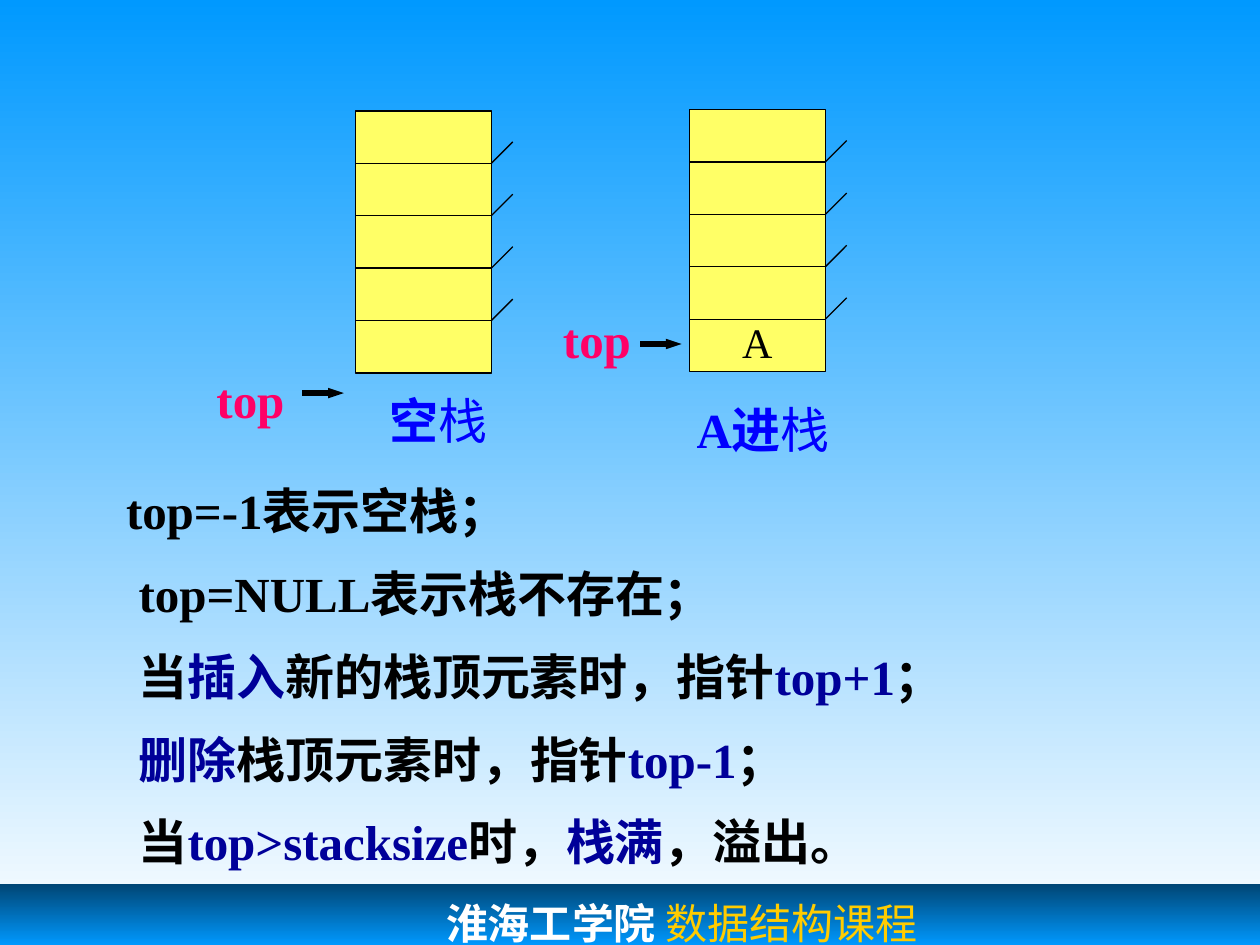
import pptx
import pptx.dml.color
import pptx.enum.shapes
import pptx.enum.text
import pptx.oxml
import pptx.oxml.ns
import pptx.util
from lxml import etree

Inches, Pt = pptx.util.Inches, pptx.util.Pt
qn = pptx.oxml.ns.qn
Anchor = pptx.enum.text.MSO_ANCHOR
AutoSize = pptx.enum.text.MSO_AUTO_SIZE

THEME = {
    "font": "Times New Roman", "footer_font": "Courier New",
    "large": 28, "small": 24,
    "ink": "000000", "key": "000099", "caption": "0000FF", "pointer": "FF0066",
    "cell": "FFFF66", "white": "FFFFFF", "course": "FFCC00",
    "sky": ["0099FF", "FFFFFF"], "bar": ["004675", "0099FF", "004675"],
    "thin": 0.75, "thick": 3,
}

# Each span is (text, theme colour).
NOTES = [
    [("top=-1表示空栈；", "ink")],
    [("top=NULL表示栈不存在；", "ink")],
    [("当", "ink"), ("插入", "key"), ("新的栈顶元素时，指针", "ink"),
     ("top+1", "key"), ("；", "ink")],
    [("删除", "key"), ("栈顶元素时，指针", "ink"), ("top-1", "key"), ("；", "ink")],
    [("当", "ink"), ("top>stacksize", "key"), ("时，", "ink"),
     ("栈满", "key"), ("，溢出。", "ink")],
]
STACKS = [
    {"corner": (2.82, 0.88), "bottom_cell": "", "caption": "空",
     "caption_at": (2.99, 3.05, 1, 0.57),
     "pointer_at": (1.62, 2.88, 0.74, 0.57), "arrow": (2.4, 3.12)},
    {"corner": (5.47, 0.87), "bottom_cell": "A", "caption": "A进",
     "caption_at": (5.43, 3.12, 1.35, 0.57),
     "pointer_at": (4.37, 2.41, 0.74, 0.57), "arrow": (5.08, 2.73)},
]
STACK_WIDTH, STACK_HEIGHT, CELLS = 1.08, 2.08, 5
TICK, ARROW_LENGTH = 0.17, 0.33


def rgb(name):
    return pptx.dml.color.RGBColor.from_string(THEME[name])


def apply(target, **values):
    for name, value in values.items():
        setattr(target, name, value)


def add_span(para, text, colour, size="large", bold=True, font="font"):
    span = para.add_run()
    span.text = text
    apply(span.font, size=Pt(THEME[size]), bold=bold, name=THEME[font])
    span.font.color.rgb = rgb(colour)


def vertical_gradient(fill, owner, colours):
    fill.gradient()
    fill.gradient_angle = 270
    stops = next(owner.iter(qn("a:gsLst")))
    for stop in list(stops):
        stops.remove(stop)
    for i, colour in enumerate(colours):
        position = str(100000 * i // (len(colours) - 1))
        stop = etree.SubElement(stops, qn("a:gs"), pos=position)
        etree.SubElement(stop, qn("a:srgbClr"), val=colour)


def add_rectangle(page, *at):
    kind = pptx.enum.shapes.MSO_SHAPE.RECTANGLE
    shape = page.shapes.add_shape(kind, *map(Inches, at))
    shape.shadow.inherit = False
    return shape


def add_line(page, *ends, width="thin", arrow=False):
    kind = pptx.enum.shapes.MSO_CONNECTOR.STRAIGHT
    line = page.shapes.add_connector(kind, *map(Inches, ends))
    line.line.color.rgb = rgb("ink")
    line.line.width = Pt(THEME[width])
    properties = line.element.spPr
    if arrow:
        etree.SubElement(properties.find(qn("a:ln")), qn("a:tailEnd"),
                         type="triangle", w="sm", len="med")
    etree.SubElement(properties, qn("a:effectLst"))


def add_label(page, at):
    box = page.shapes.add_textbox(*map(Inches, at))
    apply(box.text_frame, word_wrap=False, auto_size=AutoSize.SHAPE_TO_FIT_TEXT)
    return box.text_frame.paragraphs[0]


def add_stack(page, stack):
    left, top = stack["corner"]
    right = left + STACK_WIDTH
    body = add_rectangle(page, left, top, STACK_WIDTH, STACK_HEIGHT)
    body.fill.solid()
    body.fill.fore_color.rgb = rgb("cell")
    body.line.color.rgb = rgb("ink")
    body.line.width = Pt(THEME["thin"])
    if stack["bottom_cell"]:
        apply(body.text_frame, word_wrap=False, vertical_anchor=Anchor.BOTTOM,
              margin_bottom=Inches(0.04))
        para = body.text_frame.paragraphs[0]
        para.alignment = pptx.enum.text.PP_ALIGN.CENTER
        add_span(para, stack["bottom_cell"], "ink", size="small", bold=False)

    for i in range(1, CELLS):
        y = top + i * STACK_HEIGHT / CELLS
        add_line(page, left, y, right, y)
        add_line(page, right, y, right + TICK, y - TICK)

    caption = add_label(page, stack["caption_at"])
    add_span(caption, stack["caption"], "caption")
    add_span(caption, "栈", "caption", bold=False)
    add_span(add_label(page, stack["pointer_at"]), "top", "pointer")
    x, y = stack["arrow"]
    add_line(page, x, y, x + ARROW_LENGTH, y, width="thick", arrow=True)


def add_notes(body):
    apply(body, left=Inches(0.9), top=Inches(3.67), width=Inches(7.91),
          height=Inches(3.29))
    frame = body.text_frame
    apply(frame, word_wrap=True, auto_size=AutoSize.NONE, vertical_anchor=Anchor.TOP)
    for i, spans in enumerate(NOTES):
        para = frame.add_paragraph() if i else frame.paragraphs[0]
        properties = para._p.get_or_add_pPr()
        properties.set("marL", str(Inches(0.1 if i else 0)))
        properties.set("indent", "0")
        etree.SubElement(properties, qn("a:buNone"))
        apply(para, line_spacing=1.2, space_before=Pt(7 if i else 0))
        for text, colour in spans:
            add_span(para, text, colour)


def add_footer(page):
    bar = add_rectangle(page, 0, 7.02, 10, 0.97)
    vertical_gradient(bar.fill, bar.element, THEME["bar"])
    bar.line.fill.background()
    apply(bar.text_frame, word_wrap=True, vertical_anchor=Anchor.TOP,
          margin_left=Inches(3.54), margin_top=Inches(0.1))
    para = bar.text_frame.paragraphs[0]
    para.alignment = pptx.enum.text.PP_ALIGN.LEFT
    add_span(para, "淮海工学院", "white", size="small", font="footer_font")
    add_span(para, " 数据结构课程", "course", size="small", bold=False)


def main():
    deck = pptx.Presentation()
    apply(deck, slide_width=Inches(10), slide_height=Inches(7.5))
    page = deck.slides.add_slide(deck.slide_layouts[1])
    vertical_gradient(page.background.fill, page.element, THEME["sky"])
    title = page.shapes.title.element
    title.getparent().remove(title)
    add_footer(page)
    for stack in STACKS:
        add_stack(page, stack)
    add_notes(page.placeholders[1])
    deck.save("out.pptx")


if __name__ == "__main__":
    main()
